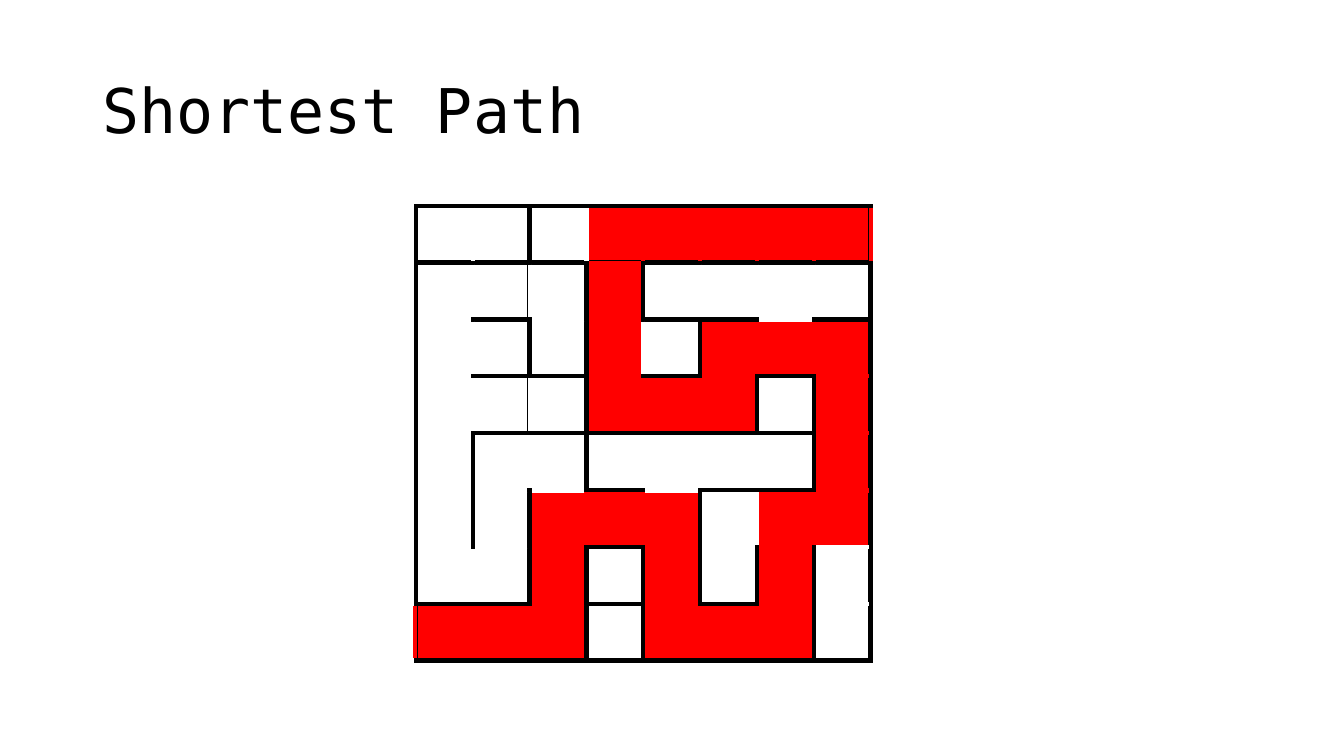
from lxml.etree import SubElement
from pptx import Presentation
from pptx.dml.color import RGBColor
from pptx.enum.shapes import MSO_CONNECTOR, MSO_SHAPE
from pptx.enum.text import MSO_ANCHOR
from pptx.oxml.ns import qn
from pptx.util import Pt

TITLE = "Shortest Path"
FONT = "DejaVu Sans Mono"
COLORS = {"wall": "000000", "floor": "FFFFFF", "route": "FF0000"}
MAZE = [
    "...#####",
    "...#....",
    "...#.###",
    "...###.#",
    ".......#",
    "..###.##",
    "..#.#.#.",
    "###.###.",
]
SIDE_OPENINGS = [
    [1, 3, 4, 5, 6, 7, 8],
    [1, 2, 5, 6, 7],
    [1, 4, 6, 7],
    [1, 2, 4, 5],
    [2, 4, 5, 6],
    [3, 4, 6, 7],
    [1],
    [0, 1, 2, 5, 6],
]
TOP_OPENINGS = [
    [],
    [3],
    [0, 2, 3, 6],
    [0, 3, 5, 7],
    [0, 7],
    [0, 1, 2, 4, 7],
    [0, 1, 2, 4, 5, 6, 7],
    [2, 4, 6, 7],
]
SIDE_SHIFTS = {(1, 2): 0.4, (3, 2): 0.4, (7, 0): -0.4, (0, 8): 0.4}
TOP_SHIFTS = {(row, column): 0.4 for row in (5, 6) for column in range(8)}
TOP_SHIFTS[7, 7] = 0.4
LEFT, TOP, CELL, WALL = 297.1, 147, 40.6, 3
INSET = WALL / 2


def color(name):
    return RGBColor.from_string(COLORS[name])


def kind(row, column):
    outside = not 0 <= column < len(MAZE[row])
    return "route" if outside or MAZE[row][column] == "#" else "floor"


def shared_kind(first, second):
    return "route" if first == second == "route" else "floor"


def add_cell(room, row, column):
    cell = room.shapes.add_shape(
        MSO_SHAPE.RECTANGLE, Pt(LEFT + column * CELL), Pt(TOP + row * CELL), Pt(CELL), Pt(CELL))
    cell.shadow.inherit = False
    cell.fill.solid()
    cell.fill.fore_color.rgb = color(kind(row, column))
    cell.line.color.rgb = color("wall")
    cell.line.width = Pt(WALL)
    SubElement(cell.line._get_or_add_ln(), qn("a:miter"), lim="800000")


def add_opening(start, end, color_name):
    opening = slide.shapes.add_connector(
        MSO_CONNECTOR.STRAIGHT, *[Pt(value) for value in (*start, *end)])
    opening.line.color.rgb = color(color_name)
    opening.line.width = Pt(WALL)
    SubElement(opening._element.spPr, qn("a:effectLst"))


presentation = Presentation()
presentation.slide_width, presentation.slide_height = Pt(960), Pt(540)
slide = presentation.slides.add_slide(presentation.slide_layouts[6])

title = slide.shapes.add_textbox(Pt(66), Pt(28.75), Pt(828), Pt(104.4)).text_frame
title.word_wrap = True
title.vertical_anchor = MSO_ANCHOR.MIDDLE
title.paragraphs[0].line_spacing = 0.9
heading = title.paragraphs[0].add_run()
heading.text = TITLE
heading.font.name = FONT
heading.font.size = Pt(44)
heading.font.color.rgb = color("wall")

maze = slide.shapes.add_group_shape()
for row, cells in enumerate(MAZE):
    for column in range(len(cells)):
        add_cell(maze, row, column)

for row, columns in enumerate(SIDE_OPENINGS):
    for column in columns:
        x = LEFT + column * CELL + SIDE_SHIFTS.get((row, column), 0)
        y = TOP + row * CELL
        add_opening((x, y + INSET), (x, y + CELL - INSET),
                    shared_kind(kind(row, column - 1), kind(row, column)))

for row, columns in enumerate(TOP_OPENINGS):
    for column in columns:
        x = LEFT + column * CELL
        y = TOP + row * CELL + TOP_SHIFTS.get((row, column), 0)
        add_opening((x + CELL - INSET, y), (x + INSET, y),
                    shared_kind(kind(row - 1, column), kind(row, column)))

presentation.save("out.pptx")
